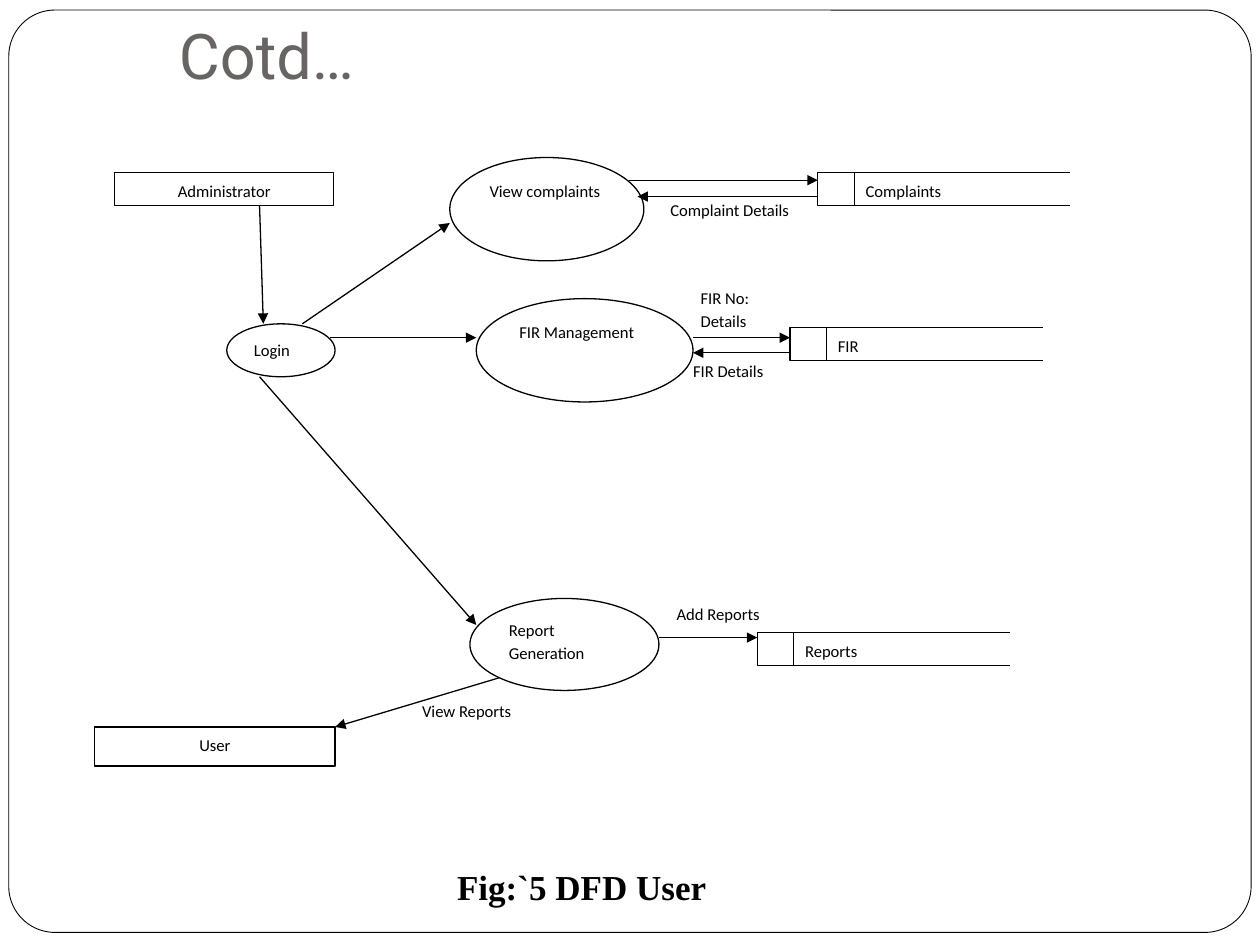
"""Build the user data flow diagram slide."""
from lxml.etree import SubElement
from pptx import Presentation
from pptx.dml.color import RGBColor
from pptx.enum.shapes import MSO_CONNECTOR, MSO_SHAPE
from pptx.enum.text import MSO_ANCHOR, MSO_AUTO_SIZE, PP_ALIGN
from pptx.oxml.ns import qn
from pptx.util import Inches, Pt

BLACK, WHITE, GREY = "000000", "FFFFFF", "696464"
RECT, OVAL = MSO_SHAPE.RECTANGLE, MSO_SHAPE.OVAL
FLOW_LABELS = [
    ("View Reports", 3.26, 5.5, 1.01, 0.42),
    ("Add Reports", 5.28, 4.73, 1.01, 0.42),
    ("FIR No: Details", 5.47, 2.22, 0.92, 0.46),
    ("FIR Details", 5.41, 2.8, 1.31, 0.26),
    ("Complaint Details", 5.23, 1.52, 1.37, 0.43),
]
PROCESSES = [
    ("View complaints", 3.57, 1.25, 1.54, 0.82),
    ("FIR Management", 3.78, 2.37, 1.72, 0.82),
    ("Report Generation", 3.73, 4.75, 1.5, 0.73),
    ("Login", 1.8, 2.57, 0.86, 0.42),
]
STORES = [("Complaints", 6.49, 1.37), ("FIR", 6.27, 2.6), ("Reports", 6.01, 5.02)]
ENTITIES = [
    ("Administrator", 0.91, 1.37, 1.74, 0.26),
    ("User", 0.75, 5.77, 1.91, 0.31),
]
FLOWS = [
    (2.06, 1.63, 2.09, 2.57),
    (2.4, 2.57, 3.57, 1.77),
    (2.62, 2.68, 3.78, 2.68),
    (2.06, 2.99, 3.78, 4.96),
    (4.99, 1.43, 6.49, 1.43),
    (6.49, 1.56, 5.06, 1.56),
    (5.5, 2.68, 6.27, 2.68),
    (3.96, 5.38, 2.66, 5.77),
    (5.23, 5.06, 6.01, 5.06),
    (6.27, 2.8, 5.5, 2.8),
]
STORE_W, STORE_H, TAB_W = 1.97, 0.26, 0.29


def color(value):
    return RGBColor.from_string(value)


def style(p, name, size, value, align=PP_ALIGN.LEFT, bold=False):
    p.alignment = align
    p.font.name, p.font.size, p.font.bold = name, Pt(size), bold
    p.font.color.rgb = color(value)


def add_box(slide, kind, text, x, y, w, h, line=BLACK, align=PP_ALIGN.LEFT):
    s = slide.shapes.add_shape(kind, *map(Inches, (x, y, w, h)))
    s.shadow.inherit = False
    s.fill.solid()
    s.fill.fore_color.rgb = color(WHITE)
    s.line.color.rgb = color(line)
    s.line.width = Pt(0.75)
    if text:
        tf = s.text_frame
        tf.word_wrap = True
        tf.vertical_anchor = MSO_ANCHOR.TOP
        tf.margin_left = tf.margin_right = Inches(0.09)
        tf.margin_top = tf.margin_bottom = Inches(0.04)
        p = tf.paragraphs[0]
        p.text = text
        p.line_spacing, p.space_after = 1.15, Pt(10)
        style(p, "Calibri", 9.5, BLACK, align)


def add_store(slide, text, x, y):
    add_box(slide, RECT, text, x + TAB_W, y, STORE_W, STORE_H)
    add_box(slide, RECT, "", x, y, TAB_W, STORE_H)
    add_box(slide, RECT, "", x + 2.01, y - 0.12, 0.44, 0.48, WHITE)


def add_flow(slide, *ends):
    c = slide.shapes.add_connector(MSO_CONNECTOR.STRAIGHT, *map(Inches, ends))
    c.line.color.rgb = color(BLACK)
    c.line.width = Pt(0.75)
    SubElement(c.line._get_or_add_ln(), qn("a:tailEnd"), type="triangle")
    SubElement(c._element.spPr, qn("a:effectLst"))


def add_frame(slide):
    s = slide.shapes.add_shape(
        MSO_SHAPE.ROUNDED_RECTANGLE, *map(Inches, (0.07, 0.08, 9.86, 7.32)))
    s.adjustments[0] = 0.05
    s.shadow.inherit = False
    s.fill.background()
    s.line.color.rgb = color(BLACK)
    s.line.width = Pt(0.5)


def add_title(slide, text):
    s = slide.shapes.title
    s.left, s.top, s.width, s.height = map(Inches, (1.32, 0.03, 6.31, 0.8))
    tf = s.text_frame
    tf.text = text
    tf.auto_size = MSO_AUTO_SIZE.NONE
    tf.vertical_anchor = MSO_ANCHOR.BOTTOM
    tf.margin_bottom = Inches(0.1)
    style(tf.paragraphs[0], "Roboto", 36, GREY)


def add_caption(slide, text):
    s = slide.shapes.add_textbox(*map(Inches, (3.53, 6.82, 2.74, 0.44)))
    tf = s.text_frame
    tf.word_wrap = True
    tf.auto_size = MSO_AUTO_SIZE.SHAPE_TO_FIT_TEXT
    tf.text = text
    style(tf.paragraphs[0], "Times New Roman", 20, BLACK, bold=True)


def main():
    prs = Presentation()
    prs.slide_width, prs.slide_height = Inches(10), Inches(7.5)
    slide = prs.slides.add_slide(prs.slide_layouts[5])
    add_frame(slide)
    add_title(slide, "Cotd…")
    add_caption(slide, "Fig:`5 DFD User")
    for label in FLOW_LABELS:
        add_box(slide, RECT, *label, line=WHITE)
    for process in PROCESSES:
        add_box(slide, OVAL, *process)
    for store in STORES:
        add_store(slide, *store)
    for entity in ENTITIES:
        add_box(slide, RECT, *entity, align=PP_ALIGN.CENTER)
    for flow in FLOWS:
        add_flow(slide, *flow)
    prs.save("out.pptx")


if __name__ == "__main__":
    main()
